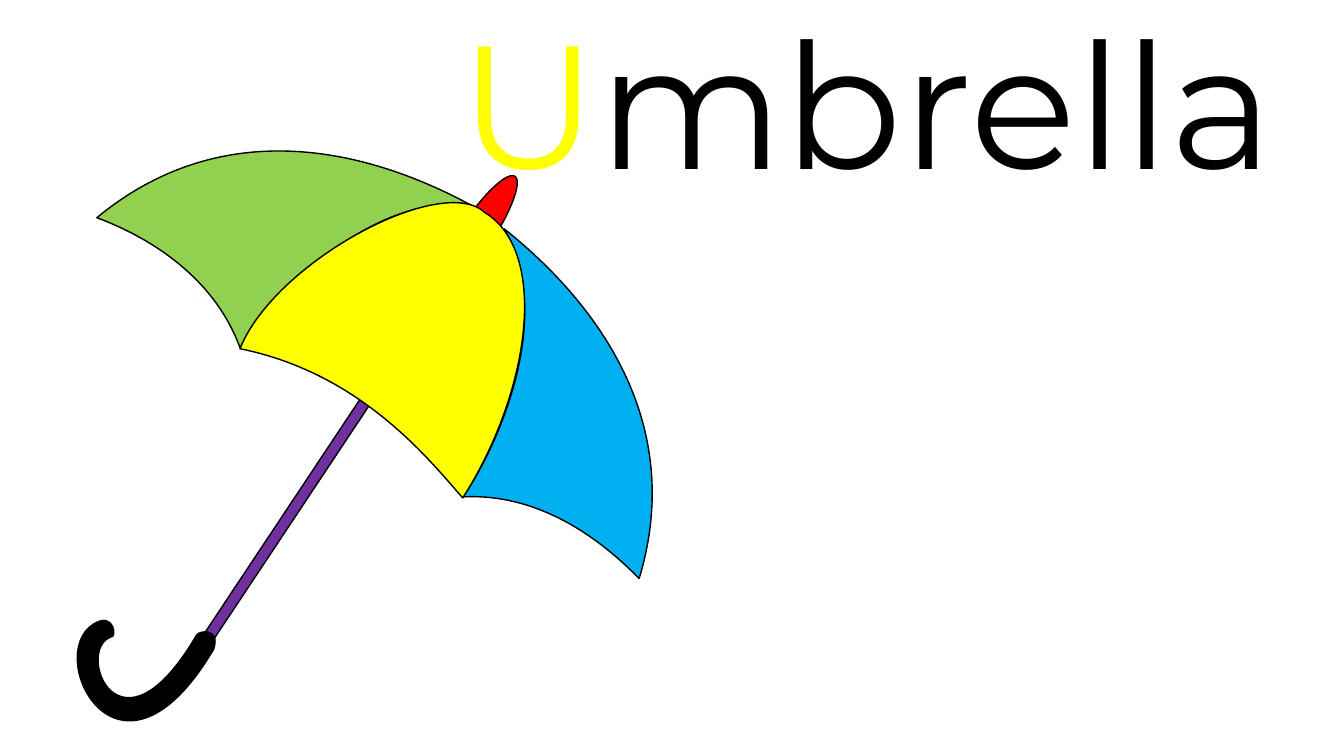
from math import cos, radians, sin

from lxml.etree import SubElement
from pptx import Presentation
from pptx.dml.color import RGBColor
from pptx.enum.shapes import MSO_SHAPE
from pptx.enum.text import MSO_AUTO_SIZE
from pptx.oxml.ns import qn
from pptx.util import Inches, Pt

prs = Presentation()
prs.slide_width, prs.slide_height = Inches(13.33), Inches(7.5)
slide = prs.slides.add_slide(prs.slide_layouts[6])


def paint(part, color, tilt):
    part.rotation = tilt
    part.shadow.inherit = False
    part.fill.solid()
    part.fill.fore_color.rgb = RGBColor.from_string(color)
    part.line.color.rgb = RGBColor.from_string("000000")
    part.line.width = Pt(1)


def add_run(paragraph, text, *, size, color, font="Montserrat"):
    run = paragraph.add_run()
    run.text = text
    run.font.name = font
    run.font.size = Pt(size)
    run.font.color.rgb = RGBColor.from_string(color)


# Word with its highlighted initial
word = slide.shapes.add_textbox(Inches(4.46), Inches(-0.1), Inches(8.87), Inches(2.2))
word.text_frame.word_wrap = True
word.text_frame.auto_size = MSO_AUTO_SIZE.SHAPE_TO_FIT_TEXT
for letters, color in [("U", "FFFF00"), ("mbrella", "000000")]:
    add_run(word.text_frame.paragraphs[0], letters, size=125, color=color)

# Shaft and tip
umbrella = slide.shapes.add_group_shape()
for outline, left, top, width, height, color in [
    (MSO_SHAPE.RECTANGLE, 3.25, 2, 0.11, 4.92, "7030A0"),
    (MSO_SHAPE.OVAL, 4.55, 1.63, 0.33, 1.42, "FF0000"),
]:
    rod = umbrella.shapes.add_shape(
        outline, Inches(left), Inches(top), Inches(width), Inches(height))
    paint(rod, color, 33.6)

# Canopy panels and handle: start point, then cubic curves (two controls, end)
green_panel = [
    (0.96, 2.16),
    (2.35, 1.01), (3.91, 1.62), (4.68, 2.04),
    (3.64, 1.9), (2.67, 3), (2.38, 3.45),
    (2.12, 2.74), (1.47, 2.35), (0.96, 2.16),
]
blue_panel = [
    (6.34, 5.74),
    (6.86, 4.02), (5.69, 2.82), (5, 2.27),
    (5.53, 3.17), (4.9, 4.5), (4.59, 4.93),
    (5.35, 4.89), (5.96, 5.35), (6.34, 5.74),
]
yellow_panel = [
    (4.59, 4.94),
    (5.26, 3.89), (5.45, 2.5), (4.81, 2.11),
    (4.39, 1.71), (2.73, 2.59), (2.38, 3.46),
    (3.57, 3.7), (4.24, 4.54), (4.59, 4.94),
]
handle = [
    (1.1, 6.32),
    (0.74, 6.45), (1.18, 7.62), (1.95, 6.3),
    (1.97, 6.26), (2.19, 6.22), (2.12, 6.44),
    (1.18, 8.03), (0.42, 6.5), (0.93, 6.19),
    (1.14, 6.06), (1.16, 6.34), (1.1, 6.32),
]
for points, left, top, width, height, tilt, color in [
    (green_panel, 1.94, 0.53, 1.89, 3.64, 75.9, "92D050"),
    (blue_panel, 4.47, 2.22, 1.89, 3.64, 351.3, "00B0F0"),
    (yellow_panel, 2.42, 2.11, 2.87, 2.92, 351.3, "FFFF00"),
    (handle, 0.78, 5.92, 1.16, 1.24, 33.6, "000000"),
]:
    # The untilted frame fixes the size
    right, bottom = left + width, top + height
    builder = umbrella.shapes.build_freeform(Inches(left), Inches(top))
    builder.add_line_segments(
        [(Inches(x), Inches(y))
         for x, y in [(right, top), (right, bottom), (left, bottom)]])
    panel = builder.convert_to_shape()
    paint(panel, color, tilt)

    # Curves replace the frame's sides, turned back by the tilt
    curve_path = next(panel.element.iter(qn("a:path")))
    for side in list(curve_path):
        curve_path.remove(side)
    cos_tilt, sin_tilt = cos(radians(tilt)), sin(radians(tilt))
    for index, (x, y) in enumerate(points):
        if index == 0:
            segment = SubElement(curve_path, qn("a:moveTo"))
        elif index % 3 == 1:
            segment = SubElement(curve_path, qn("a:cubicBezTo"))
        dx, dy = x - left - width / 2, y - top - height / 2
        SubElement(
            segment, qn("a:pt"),
            x=str(Inches(width / 2 + dx * cos_tilt + dy * sin_tilt)),
            y=str(Inches(height / 2 - dx * sin_tilt + dy * cos_tilt)))
    SubElement(curve_path, qn("a:close"))

prs.save("out.pptx")
